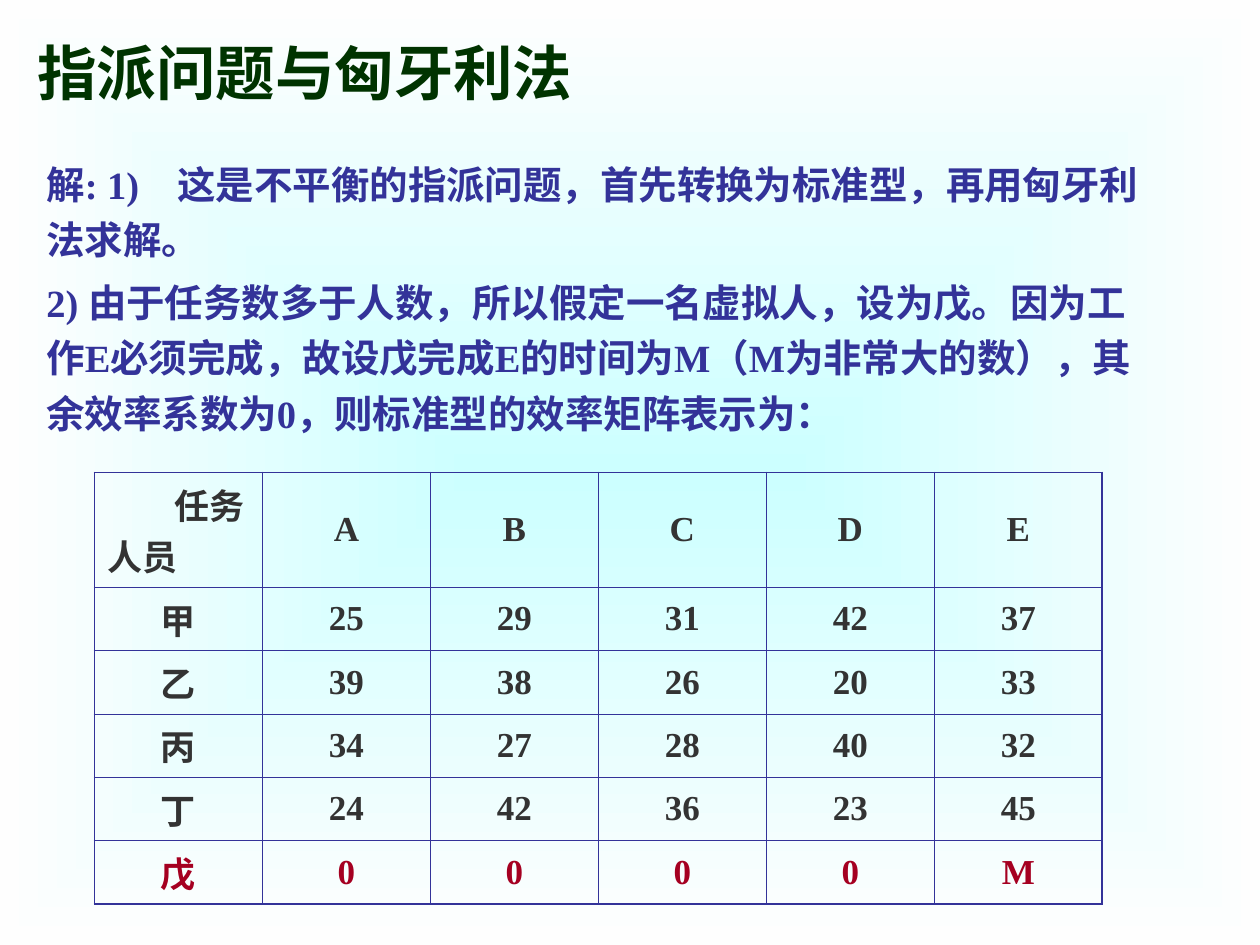
from dataclasses import dataclass

from lxml.etree import SubElement
from pptx import Presentation
from pptx.dml.color import RGBColor
from pptx.enum.lang import MSO_LANGUAGE_ID as Language
from pptx.enum.text import MSO_ANCHOR as Anchor, PP_ALIGN as Align
from pptx.oxml import parse_xml
from pptx.oxml.ns import nsdecls, qn
from pptx.slide import Slide
from pptx.table import _Cell as Cell
from pptx.text.text import _Paragraph as Paragraph
from pptx.util import Emu, Inches, Pt


@dataclass(frozen=True)
class Theme:
    font: str = "Times New Roman"
    title: str = "003300"
    body: str = "333399"
    cell: str = "333333"
    dummy: str = "A50021"
    border: str = "333399"
    glow: str = "CCFFFF"
    edge: str = "FEFEFE"
    title_size: float = 34
    body_size: float = 22
    cell_size: float = 20
    outer_line: float = 1.08
    inner_line: float = 0.45


@dataclass(frozen=True)
class Area:
    """A rectangle in shares of the slide's width and height."""
    left: float
    top: float
    width: float
    height: float

    def on(self, width: int, height: int) -> tuple[Emu, ...]:
        return (Emu(int(self.left * width)), Emu(int(self.top * height)),
                Emu(int(self.width * width)), Emu(int(self.height * height)))


THEME = Theme()
SLIDE_WIDTH, SLIDE_HEIGHT = Inches(10), Inches(7.5)
TITLE_AREA = Area(0.02, 0.016, 0.803, 0.104)
BODY_AREA = Area(0.027, 0.154, 0.89, 0.325)
TABLE_AREA = Area(0.075, 0.5, 0.8, 0.457)
HEADER_HEIGHT = Inches(0.91)
NUMBER_TAB = Inches(1.04)

TITLE = "指派问题与匈牙利法"
STEPS = (
    "解: 1)\t这是不平衡的指派问题，首先转换为标准型，再用匈牙利法求解。",
    "2) 由于任务数多于人数，所以假定一名虚拟人，设为戊。因为工作E必须完成，"
    "故设戊完成E的时间为M（M为非常大的数），其余效率系数为0，则标准型的效率矩阵表示为：",
)
MATRIX = (
    ("任务\n人员", "A", "B", "C", "D", "E"),
    ("甲", "25", "29", "31", "42", "37"),
    ("乙", "39", "38", "26", "20", "33"),
    ("丙", "34", "27", "28", "40", "32"),
    ("丁", "24", "42", "36", "23", "45"),
    ("戊", "0", "0", "0", "0", "M"),
)


def style_paragraph(para: Paragraph, size: float, color: str) -> None:
    for span in para.runs:
        font = span.font
        font.name, font.size, font.bold = THEME.font, Pt(size), True
        font.color.rgb = RGBColor.from_string(color)
        font.language_id = Language.SIMPLIFIED_CHINESE


def paint_background(page: Slide) -> None:
    """Fill the page with a rectangular gradient glowing from the centre."""
    fill = page.background.fill
    fill.solid()
    solid = page.element.find(".//" + qn("p:bgPr")).find(qn("a:solidFill"))
    gradient = parse_xml(
        f'<a:gradFill {nsdecls("a")} rotWithShape="0"><a:gsLst>'
        f'<a:gs pos="0"><a:srgbClr val="{THEME.glow}"/></a:gs>'
        f'<a:gs pos="100000"><a:srgbClr val="{THEME.edge}"/></a:gs></a:gsLst>'
        '<a:path path="rect"><a:fillToRect l="50000" t="50000" r="50000" b="50000"/>'
        '</a:path></a:gradFill>')
    solid.getparent().replace(solid, gradient)


def add_text(page: Slide, area: Area, text: str, size: float, color: str,
             anchor: Anchor) -> list[Paragraph]:
    box = page.shapes.add_textbox(*area.on(SLIDE_WIDTH, SLIDE_HEIGHT))
    frame = box.text_frame
    frame.word_wrap, frame.vertical_anchor = True, anchor
    frame.text = text
    for para in frame.paragraphs:
        style_paragraph(para, size, color)
    return list(frame.paragraphs)


def add_steps(page: Slide) -> None:
    """Add the solution steps, keeping punctuation inside the text box."""
    paragraphs = add_text(page, BODY_AREA, "\n".join(STEPS), THEME.body_size,
                          THEME.body, Anchor.TOP)
    for para in paragraphs:
        para.line_spacing, para.space_before = 1.2, Pt(4.1)
        para._p.get_or_add_pPr().set("hangingPunct", "0")
    tabs = SubElement(paragraphs[0]._p.get_or_add_pPr(), qn("a:tabLst"))
    SubElement(tabs, qn("a:tab"), pos=str(NUMBER_TAB), algn="l")


def set_borders(cell: Cell, outer_sides: dict[str, bool]) -> None:
    properties = cell._tc.get_or_add_tcPr()
    for index, (side, outer) in enumerate(outer_sides.items()):
        width = Pt(THEME.outer_line if outer else THEME.inner_line)
        properties.insert(index, parse_xml(
            f'<a:ln{side} {nsdecls("a")} w="{width}"><a:solidFill>'
            f'<a:srgbClr val="{THEME.border}"/></a:solidFill></a:ln{side}>'))


def add_matrix(page: Slide) -> None:
    row_count, column_count = len(MATRIX), len(MATRIX[0])
    last_row, last_column = row_count - 1, column_count - 1
    left, top, width, height = TABLE_AREA.on(SLIDE_WIDTH, SLIDE_HEIGHT)
    row_height = Emu((height - HEADER_HEIGHT) // last_row)
    table = page.shapes.add_table(row_count, column_count,
                                  left, top, width, height).table
    table.first_row = table.horz_banding = False
    for r, values in enumerate(MATRIX):
        table.rows[r].height = row_height if r else HEADER_HEIGHT
        color = THEME.dummy if r == last_row else THEME.cell
        for c, value in enumerate(values):
            cell = table.cell(r, c)
            cell.text = value
            cell.vertical_anchor = Anchor.MIDDLE
            cell.fill.background()
            for para in cell.text_frame.paragraphs:
                para.alignment = Align.CENTER
                style_paragraph(para, THEME.cell_size, color)
            set_borders(cell, {"L": c == 0, "R": c == last_column,
                               "T": r == 0, "B": r == last_row})
    corner = table.cell(0, 0)
    corner.margin_right = Inches(0.14)
    task, person = corner.text_frame.paragraphs
    task.alignment, person.alignment = Align.RIGHT, Align.LEFT


def main() -> None:
    deck = Presentation()
    deck.slide_width, deck.slide_height = SLIDE_WIDTH, SLIDE_HEIGHT
    page = deck.slides.add_slide(deck.slide_layouts[6])
    paint_background(page)
    add_text(page, TITLE_AREA, TITLE, THEME.title_size, THEME.title, Anchor.BOTTOM)
    add_steps(page)
    add_matrix(page)
    deck.save("out.pptx")


if __name__ == "__main__":
    main()
